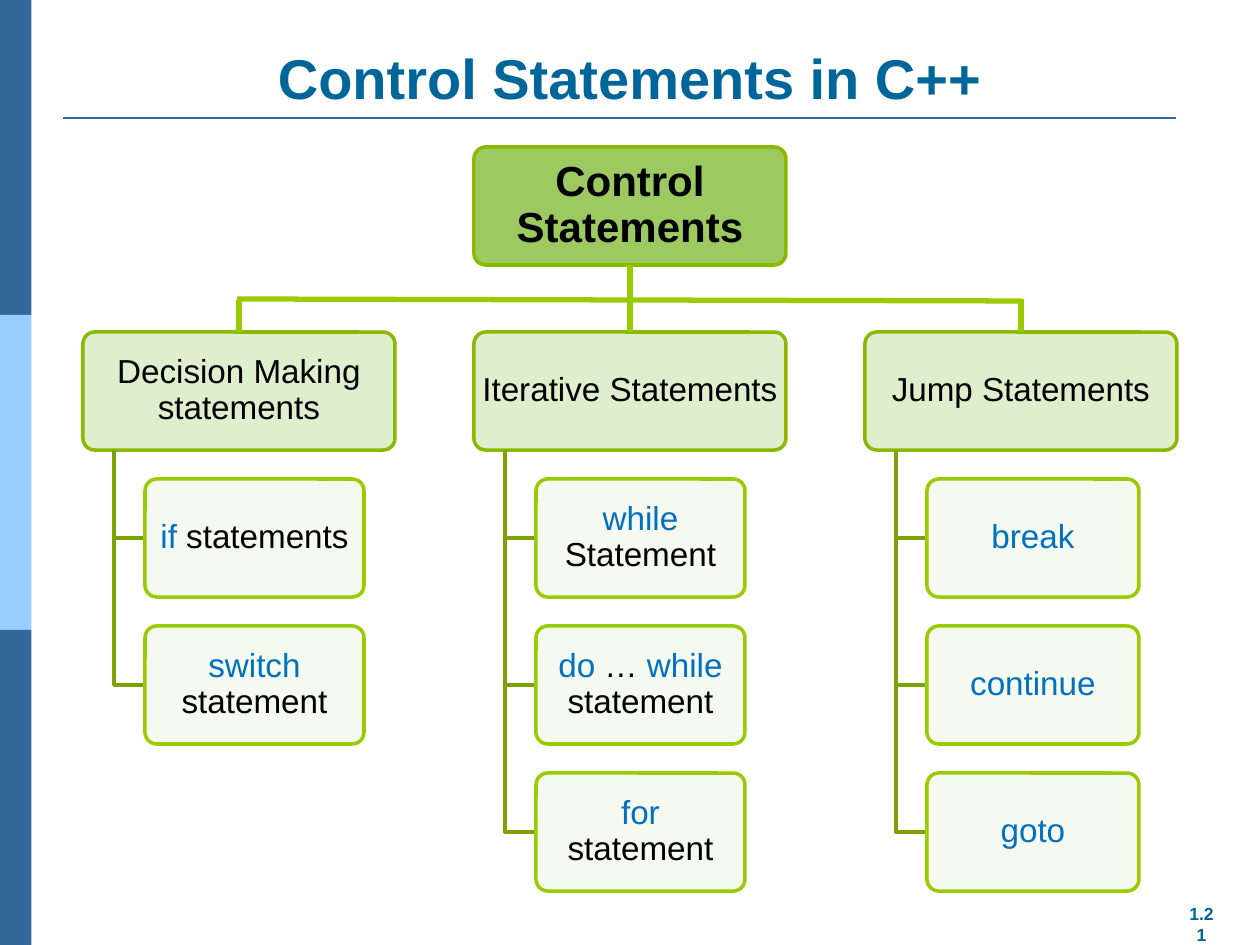
from dataclasses import dataclass

from lxml import etree
from pptx import Presentation
from pptx.dml.color import RGBColor
from pptx.enum.shapes import MSO_CONNECTOR, MSO_SHAPE
from pptx.enum.text import MSO_ANCHOR, PP_ALIGN
from pptx.oxml.ns import qn
from pptx.util import Emu, Pt

RECT = MSO_SHAPE.RECTANGLE
ROUNDED = MSO_SHAPE.ROUNDED_RECTANGLE
STRAIGHT = MSO_CONNECTOR.STRAIGHT
CENTER = PP_ALIGN.CENTER
TOP, MIDDLE, BOTTOM = MSO_ANCHOR.TOP, MSO_ANCHOR.MIDDLE, MSO_ANCHOR.BOTTOM

SCALE = 914400 / 126
FONT = "Arial"
BLACK, KEYWORD, TEAL = "000000", "0070C0", "006699"
NAVY, SKY, LIME, OLIVE = "336699", "99CCFF", "99CC00", "7BA300"

BOX_W, BOX_H = 312, 118
COL_X, COL_STEP = 83, 391
ROOT_Y, CATEGORY_Y = 147, 332
ITEM_Y, ITEM_STEP, ITEM_DX = 479, 147, 62
SPINE_DX = 31


@dataclass(frozen=True)
class BoxStyle:
    fill: str
    line: str
    size: int
    inset: int
    bold: bool = False
    alpha: int = 100


@dataclass(frozen=True)
class Run:
    text: str
    color: str = BLACK


@dataclass(frozen=True)
class Category:
    title: str
    item_w: int
    items: tuple[tuple[Run, ...], ...]


ROOT = BoxStyle("9CC960", "8BB900", 24, 9, bold=True)
CATEGORY = BoxStyle("DFEECC", "8BB900", 19, 3)
ITEM = BoxStyle("F4F9EE", LIME, 19, 9, alpha=90)

CATEGORIES = (
    Category("Decision Making statements", 219, (
        (Run("if", KEYWORD), Run(" statements")),
        (Run("switch", KEYWORD), Run(" statement")),
    )),
    Category("Iterative Statements", 209, (
        (Run("while", KEYWORD), Run(" Statement")),
        (Run("do", KEYWORD), Run(" … "), Run("while", KEYWORD), Run(" statement")),
        (Run("for", KEYWORD), Run(" statement")),
    )),
    Category("Jump Statements", 212, (
        (Run("break", KEYWORD),),
        (Run("continue", KEYWORD),),
        (Run("goto", KEYWORD),),
    )),
)


def px(n: float) -> Emu:
    return Emu(round(n * SCALE))


def rgb(color: str) -> RGBColor:
    return RGBColor.from_string(color)


def write(s, runs: tuple[Run, ...], size: int, bold: bool, anchor, inset_x: int, inset_y: int):
    tf = s.text_frame
    tf.word_wrap = True
    tf.vertical_anchor = anchor
    tf.margin_left = tf.margin_right = px(inset_x)
    tf.margin_top = tf.margin_bottom = px(inset_y)
    p = tf.paragraphs[0]
    p.alignment = CENTER
    p.font.name, p.font.size, p.font.bold = FONT, Pt(size), bold
    for run in runs:
        r = p.add_run()
        r.text = run.text
        r.font.color.rgb = rgb(run.color)
    return p


def add_label(slide, x: int, y: int, w: int, h: int, text: str, size: int, anchor) -> None:
    s = slide.shapes.add_textbox(px(x), px(y), px(w), px(h))
    write(s, (Run(text, TEAL),), size, True, anchor, 13, 6)


def add_band(slide, y: int, color: str) -> None:
    s = slide.shapes.add_shape(RECT, 0, px(y), px(31.5), px(315))
    s.shadow.inherit = False
    s.fill.solid()
    s.fill.fore_color.rgb = rgb(color)
    s.line.fill.background()


def add_box(slide, x: int, y: int, w: int, runs: tuple[Run, ...], style: BoxStyle):
    s = slide.shapes.add_shape(ROUNDED, px(x), px(y), px(w), px(BOX_H))
    s.adjustments[0] = 0.1
    s.shadow.inherit = False
    s.fill.solid()
    s.fill.fore_color.rgb = rgb(style.fill)
    if style.alpha < 100:
        color = s._element.spPr.find(qn("a:solidFill"))[0]
        etree.SubElement(color, qn("a:alpha")).set("val", str(style.alpha * 1000))
    s.line.color.rgb = rgb(style.line)
    s.line.width = Pt(2)
    p = write(s, runs, style.size, style.bold, MIDDLE, style.inset, 6)
    p.line_spacing = 0.9
    return s


def add_line(slide, x1: int, y1: int, x2: int, y2: int, color: str, width: float):
    c = slide.shapes.add_connector(STRAIGHT, px(x1), px(y1), px(x2), px(y2))
    c.line.color.rgb = rgb(color)
    c.line.width = Pt(width)
    etree.SubElement(c._element.spPr, qn("a:effectLst"))
    return c


def add_branch(slide, x: int, y1: int, x2: int, y2: int) -> None:
    builder = slide.shapes.build_freeform(x, y1, scale=SCALE)
    builder.add_line_segments([(x, y2), (x2, y2)], close=False)
    s = builder.convert_to_shape()
    s.shadow.inherit = False
    s.fill.background()
    s.line.color.rgb = rgb(OLIVE)
    s.line.width = Pt(2)


def add_category(slide, x: int, category: Category):
    s = add_box(slide, x, CATEGORY_Y, BOX_W, (Run(category.title),), CATEGORY)
    for i, runs in enumerate(category.items):
        y = ITEM_Y + i * ITEM_STEP
        item_x = x + ITEM_DX
        add_branch(slide, x + SPINE_DX, CATEGORY_Y + BOX_H, item_x, y + BOX_H // 2)
        add_box(slide, item_x, y, category.item_w, runs, ITEM)
    return s


def main() -> None:
    prs = Presentation()
    prs.slide_width, prs.slide_height = px(1260), px(945)
    slide = prs.slides.add_slide(prs.slide_layouts[6])

    for i, color in enumerate((NAVY, SKY, NAVY)):
        add_band(slide, i * 315, color)
    add_line(slide, 63, 118, 1176, 118, NAVY, 1.5)
    add_label(slide, 1176, 897, 51, 32, "1.21", 10, TOP)
    add_label(slide, 63, 38, 1134, 79, "Control Statements in C++", 32, BOTTOM)

    columns = [COL_X + i * COL_STEP for i in range(len(CATEGORIES))]
    left, middle, right = [
        add_category(slide, x, category) for x, category in zip(columns, CATEGORIES)
    ]
    root = add_box(slide, columns[1], ROOT_Y, BOX_W, (Run("Control Statements"),), ROOT)

    left_x, middle_x, right_x = [x + BOX_W // 2 for x in columns]
    trunk = add_line(slide, middle_x, ROOT_Y + BOX_H, middle_x, CATEGORY_Y, LIME, 3)
    trunk.begin_connect(root, 2)
    trunk.end_connect(middle, 0)
    for x, y, s in ((right_x, 299, right), (left_x, 300, left)):
        add_line(slide, x, y, x, CATEGORY_Y, LIME, 3).end_connect(s, 0)
    add_line(slide, left_x - 2, 299, right_x, 301, LIME, 3)

    prs.save("out.pptx")


if __name__ == "__main__":
    main()
